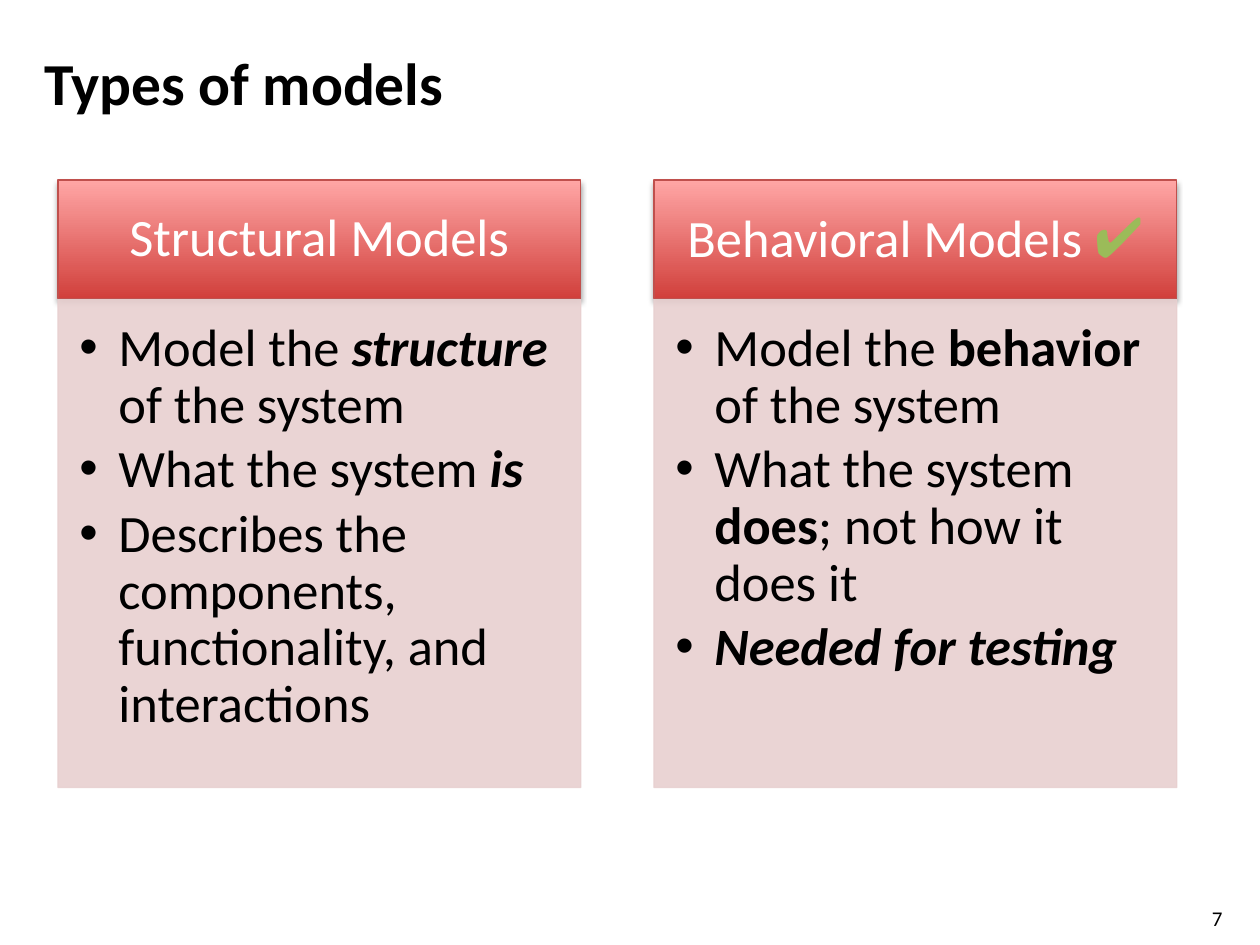
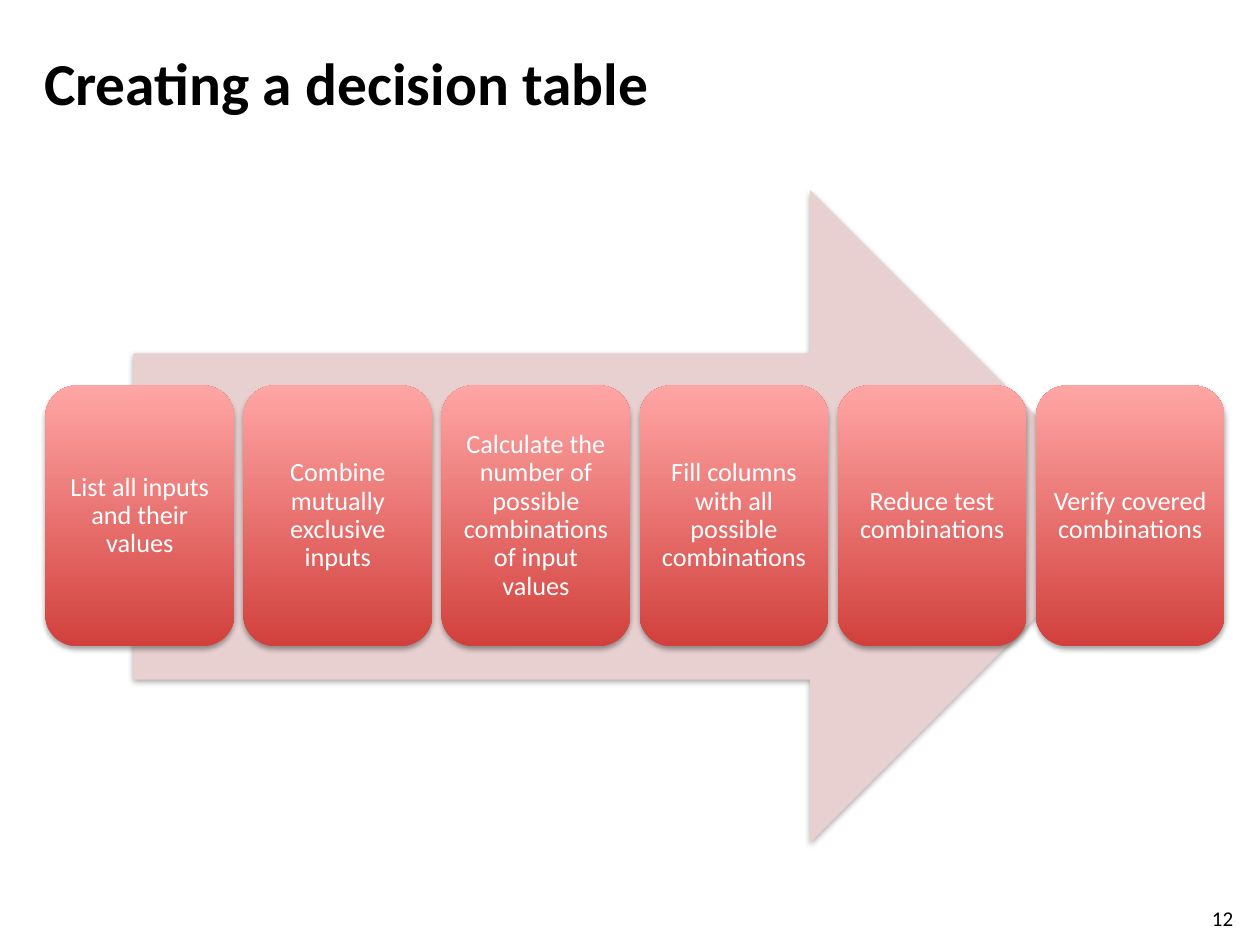
from lxml.etree import SubElement
from pptx import Presentation
from pptx.dml.color import RGBColor
from pptx.enum.shapes import MSO_SHAPE
from pptx.enum.text import MSO_ANCHOR, MSO_AUTO_SIZE, PP_ALIGN
from pptx.oxml.ns import qn
from pptx.util import Inches, Pt

BLACK = RGBColor(0x00, 0x00, 0x00)
WHITE = RGBColor(0xFF, 0xFF, 0xFF)
RED_DARK = RGBColor(0xD1, 0x40, 0x3C)
RED_LIGHT = RGBColor(0xFF, 0xA6, 0xA5)
RED_LINE = RGBColor(0xC0, 0x50, 0x4D)
PINK = RGBColor(0xE8, 0xD0, 0xD0)
GREEN = RGBColor(0x9B, 0xBB, 0x59)
FONT = "Calibri"


def add_run(p, text, size=30, color=BLACK, bold=False, italic=False):
    r = p.add_run()
    r.text = text
    font = r.font
    font.name, font.size, font.bold, font.italic = FONT, Pt(size), bold, italic
    font.color.rgb = color


def set_alpha(sp, percent):
    for clr in sp._element.spPr.iter(qn("a:srgbClr")):
        SubElement(clr, qn("a:alpha"), val=str(percent * 1000))


def add_shadow(sp):
    effects = sp._element.spPr.find(qn("a:effectLst"))
    shadow = SubElement(effects, qn("a:outerShdw"), blurRad=str(Pt(3.1)),
                        dist=str(Pt(1.8)), dir="5400000", rotWithShape="0")
    clr = SubElement(shadow, qn("a:srgbClr"), val=str(BLACK))
    SubElement(clr, qn("a:alpha"), val="35000")


def add_bullet(p, indent):
    pPr = p._p.get_or_add_pPr()
    pPr.set("marL", str(indent))
    pPr.set("indent", str(-indent))
    SubElement(pPr, qn("a:buFont"), typeface="Arial")
    SubElement(pPr, qn("a:buChar"), char="•")


class Deck:
    def __init__(self):
        self.prs = Presentation()
        self.prs.slide_width, self.prs.slide_height = Inches(10), Inches(7.5)
        self.s = None

    def slide(self, title, number):
        self.s = self.prs.slides.add_slide(self.prs.slide_layouts[5])
        sp = self.s.shapes.title
        sp.left, sp.top, sp.width, sp.height = map(Inches, (0.25, 0.3, 8.67, 0.7))
        tf = sp.text_frame
        tf.auto_size, tf.vertical_anchor = MSO_AUTO_SIZE.NONE, MSO_ANCHOR.MIDDLE
        p = tf.paragraphs[0]
        p.alignment = PP_ALIGN.LEFT
        add_run(p, title, size=34, bold=True)
        box = self.s.shapes.add_textbox(*map(Inches, (9.52, 7.14, 0.4, 0.24)))
        add_run(box.text_frame.paragraphs[0], str(number), size=12)

    def shape(self, kind, at, fill=None, line=None, shadow=True):
        sp = self.s.shapes.add_shape(kind, *map(Inches, at))
        sp.shadow.inherit = False
        if fill:
            sp.fill.solid()
            sp.fill.fore_color.rgb = fill
        else:
            sp.fill.gradient()
            sp.fill.gradient_angle = 90
            for stop, color in zip(sp.fill.gradient_stops, (RED_DARK, RED_LIGHT)):
                stop.color.rgb = color
        if line:
            sp.line.color.rgb = line
            sp.line.width = Pt(0.75)
        else:
            sp.line.fill.background()
        if shadow:
            add_shadow(sp)
        return sp

    def frame(self, sp, insets, anchor=MSO_ANCHOR.MIDDLE):
        tf = sp.text_frame
        tf.word_wrap, tf.vertical_anchor = True, anchor
        (tf.margin_left, tf.margin_top,
         tf.margin_right, tf.margin_bottom) = map(Inches, insets)
        return tf

    def label(self, sp, insets, runs):
        p = self.frame(sp, insets).paragraphs[0]
        p.alignment, p.line_spacing = PP_ALIGN.CENTER, 0.9
        for text, style in runs:
            add_run(p, text, **{"color": WHITE, **style})

    def card(self, left, heading, bullets):
        header = self.shape(MSO_SHAPE.RECTANGLE, (left, 1.43, 4.15, 0.94), line=RED_LINE)
        self.label(header, (0.23, 0.13, 0.23, 0.13), heading)
        body = self.shape(MSO_SHAPE.RECTANGLE, (left, 2.38, 4.15, 3.87),
                          fill=PINK, line=PINK, shadow=False)
        set_alpha(body, 90)
        tf = self.frame(body, (0.17, 0.17, 0.23, 0.26), MSO_ANCHOR.TOP)
        for i, runs in enumerate(bullets):
            p = tf.add_paragraph() if i else tf.paragraphs[0]
            p.alignment, p.line_spacing, p.space_after = PP_ALIGN.LEFT, 0.9, Pt(4.5)
            add_bullet(p, Inches(0.31))
            for text, style in runs:
                add_run(p, text, **style)

    def step(self, left, text):
        sp = self.shape(MSO_SHAPE.ROUNDED_RECTANGLE, (left, 3.06, 1.5, 2.07))
        self.label(sp, (0.06,) * 4, [(text, {"size": 15})])


def main():
    plain, bold = {}, {"bold": True}
    strong = {"bold": True, "italic": True}
    deck = Deck()

    deck.slide("Types of models", 7)
    deck.card(0.46, [("Structural Models", plain)], [
        [("Model the ", plain), ("structure", strong), (" of the system", plain)],
        [("What the system ", plain), ("is", strong)],
        [("Describes the components, functionality, and interactions", plain)],
    ])
    check = {"size": 32, "color": GREEN}
    deck.card(5.19, [("Behavioral Models ", plain), ("✔", check)], [
        [("Model the", plain), (" behavior", bold), (" of the system", plain)],
        [("What the system ", plain), ("does", bold), ("; not how it does it", plain)],
        [("Needed for testing", strong)],
    ])

    deck.slide("Creating a decision table", 12)
    deck.shape(MSO_SHAPE.RIGHT_ARROW, (1.06, 1.51, 7.96, 5.18), fill=PINK)
    steps = [
        "List all inputs and their values",
        "Combine mutually exclusive inputs",
        "Calculate the number of possible combinations of input values",
        "Fill columns with all possible combinations",
        "Reduce test combinations",
        "Verify covered combinations",
    ]
    first, last = 0.36, 8.22
    pitch = (last - first) / (len(steps) - 1)
    for i, text in enumerate(steps):
        deck.step(first + i * pitch, text)

    deck.prs.save("out.pptx")


if __name__ == "__main__":
    main()
